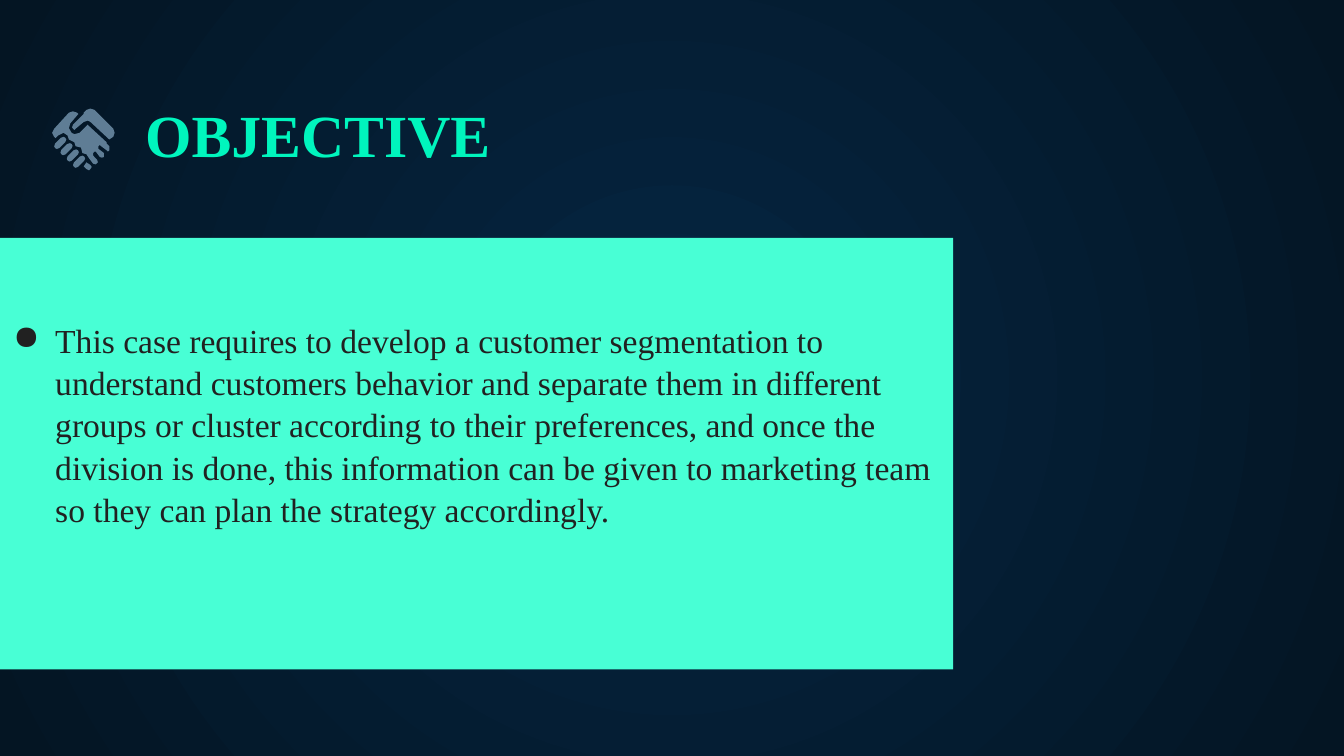
from lxml.etree import SubElement
from pptx import Presentation
from pptx.dml.color import RGBColor
from pptx.enum.shapes import MSO_SHAPE
from pptx.enum.text import MSO_ANCHOR
from pptx.oxml.ns import qn
from pptx.util import Pt

COLOURS = {
    "centre": "052643",
    "edge": "041523",
    "panel": "48FFD5",
    "title": "00F5BD",
    "body": "212121",
    "icon": "5F7D95",
}
FONT = "Times New Roman"

# Handshake outlines on a grid 47 units wide
ICON_UNITS = 47
FINGER_STEP = 4.67
FINGER = [(7, 0), (5, 0.7), (0.7, 5), (0, 7), (0.7, 8.3), (2, 9),
          (3.8, 8.3), (8.3, 3.8), (9, 2), (8.3, 0.7)]
FINGERTIP = [(26, 40), (24, 43), (26, 45), (28, 46), (29, 45), (30, 43.5), (29, 42)]
PALM = [(16, 2), (13, 3), (2, 15), (0.5, 18), (2, 21), (3, 22), (5, 20), (9, 18),
        (12, 20), (13, 23), (17, 25), (18, 28), (22, 29), (23, 33), (26, 34),
        (28, 37), (31, 41), (33, 41.5), (34.5, 40), (34, 38), (31, 35), (31, 33),
        (32, 32), (33, 32), (36, 36), (37.5, 36.5), (39, 36), (39, 33), (35, 30),
        (35, 28), (36, 27), (37, 28), (41, 31), (42, 32), (43, 31), (43, 28),
        (41, 26), (41, 25), (28, 13), (27, 12), (26, 13), (21, 18), (17, 19),
        (15, 18), (13, 14.5), (14, 11), (20, 4), (19, 3)]
THUMB = [(29, 0), (26, 1), (24, 3), (24, 4), (16, 12), (15.3, 14), (16, 15),
         (17, 16), (18, 15), (24, 10), (27, 9), (29, 10), (43, 23), (46, 21),
         (47, 18), (46, 15), (32, 1)]


def colour(name):
    return RGBColor.from_string(COLOURS[name])


def set_all(target, values):
    for name, value in values.items():
        setattr(target, name, value)


def paint(shape, name):
    shape.shadow.inherit = False
    shape.fill.solid()
    shape.fill.fore_color.rgb = colour(name)
    shape.line.fill.background()


def add_background(page):
    fill = page.background.fill
    fill.gradient()
    for stop, name in zip(fill.gradient_stops, ("centre", "edge")):
        stop.color.rgb = colour(name)
    # Radial gradient from the middle of the page
    gradient = next(page.element.iter(qn("a:gradFill")))
    gradient.remove(gradient.find(qn("a:lin")))
    radial = SubElement(gradient, qn("a:path"), {"path": "circle"})
    SubElement(radial, qn("a:fillToRect"), dict.fromkeys("ltrb", "50000"))


def add_panel(page, box):
    panel = page.shapes.add_shape(MSO_SHAPE.RECTANGLE, *map(Pt, box))
    paint(panel, "panel")


def add_text(page, box, text, frame_format, font_format, colour_name):
    frame = page.shapes.add_textbox(*map(Pt, box)).text_frame
    inset = Pt(7.2)
    set_all(frame, {"word_wrap": True, "margin_left": inset, "margin_right": inset,
                    "margin_top": inset, "margin_bottom": inset, **frame_format})
    para = frame.paragraphs[0]
    span = para.add_run()
    span.text = text
    set_all(span.font, {"name": FONT, **font_format})
    span.font.color.rgb = colour(colour_name)
    return para


def add_title(page, box):
    add_text(page, box, "OBJECTIVE", {"vertical_anchor": MSO_ANCHOR.BOTTOM},
             {"size": Pt(32), "bold": True}, "title")


def add_body(page, box):
    para = add_text(
        page, box,
        "This case requires to develop a customer segmentation to understand "
        "customers behavior and separate them in different groups or cluster "
        "according to their preferences, and once the division is done, this "
        "information can be given to marketing team so they can plan the "
        "strategy accordingly.",
        {"margin_top": Pt(40.6), "vertical_anchor": MSO_ANCHOR.TOP},
        {"size": Pt(18)}, "body")
    para.line_spacing = 1.05
    # Hanging bullet
    properties = para._p.get_or_add_pPr()
    indent = Pt(22.5)
    properties.set("marL", str(indent))
    properties.set("indent", str(-indent))
    SubElement(properties, qn("a:buChar"), {"char": "●"})


def add_handshake(page, box):
    left, top, width, _ = box
    unit = width / ICON_UNITS
    group = page.shapes.add_group_shape()
    fingers = [[(x + 2 + FINGER_STEP * i, y + 21 + FINGER_STEP * i) for x, y in FINGER]
               for i in range(4)]
    for outline in [*fingers, FINGERTIP, PALM, THUMB]:
        points = [(Pt(left + x * unit), Pt(top + y * unit)) for x, y in outline]
        builder = group.shapes.build_freeform(*points[0])
        builder.add_line_segments(points[1:], close=True)
        paint(builder.convert_to_shape(), "icon")


def main():
    deck = Presentation()
    set_all(deck, {"slide_width": Pt(720), "slide_height": Pt(405)})
    page = deck.slides.add_slide(deck.slide_layouts[6])
    add_background(page)
    add_panel(page, (-27.4, 127.5, 538, 231.2))
    add_title(page, (70.6, 50.4, 625, 47.5))
    add_body(page, (0, 129.6, 514.8, 224.6))
    add_handshake(page, (27.6, 58.2, 33.84, 33.12))
    deck.save("out.pptx")


if __name__ == "__main__":
    main()
